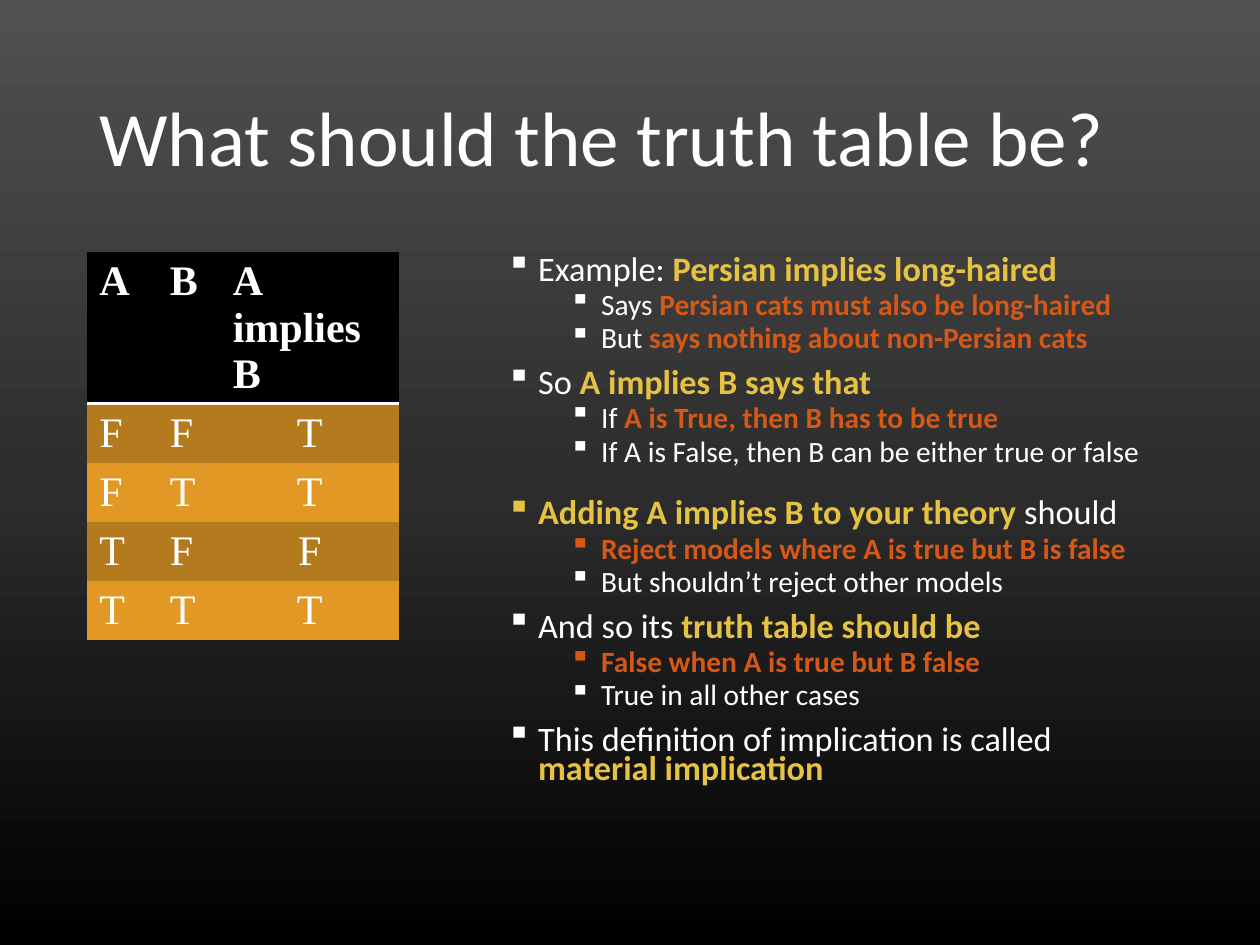
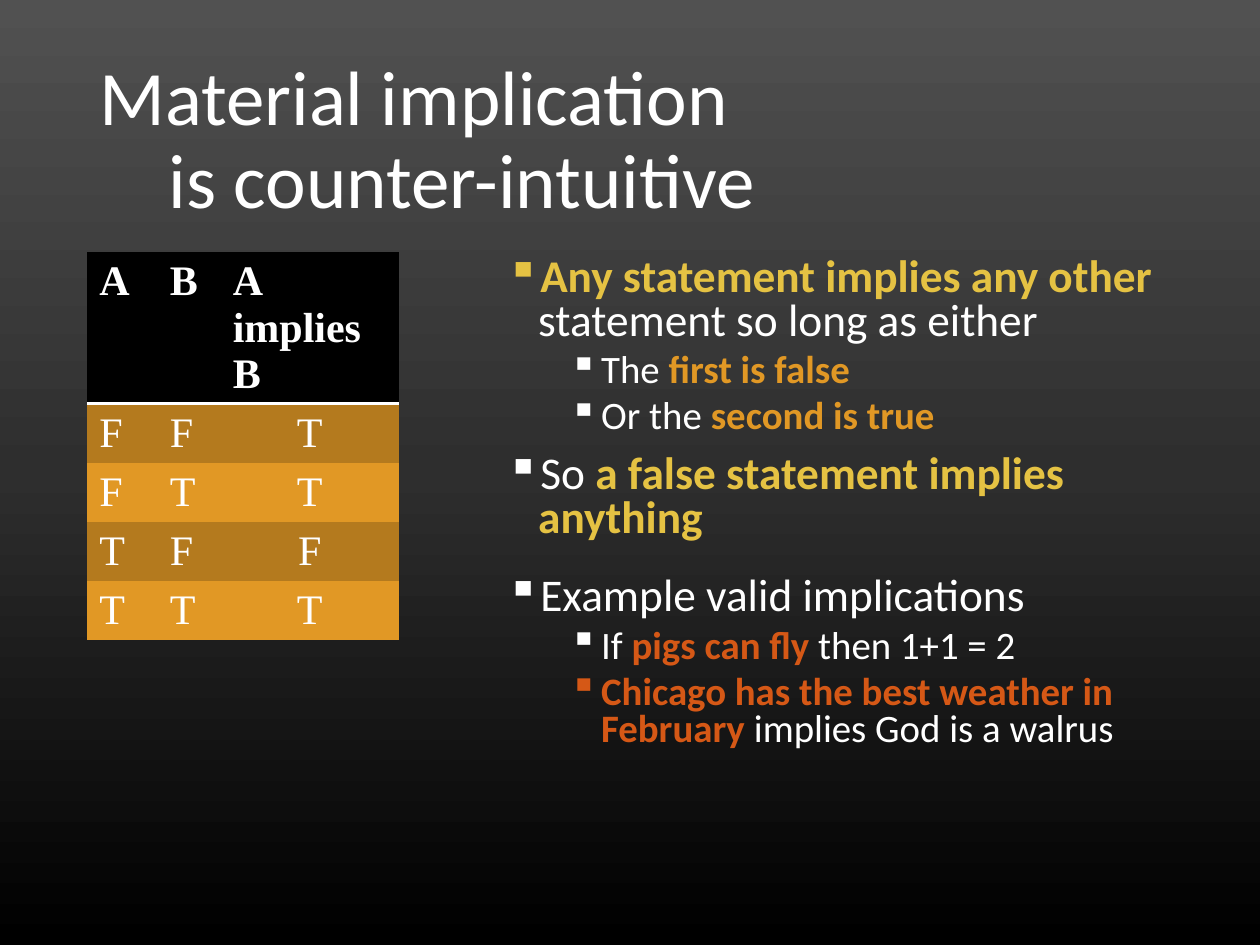
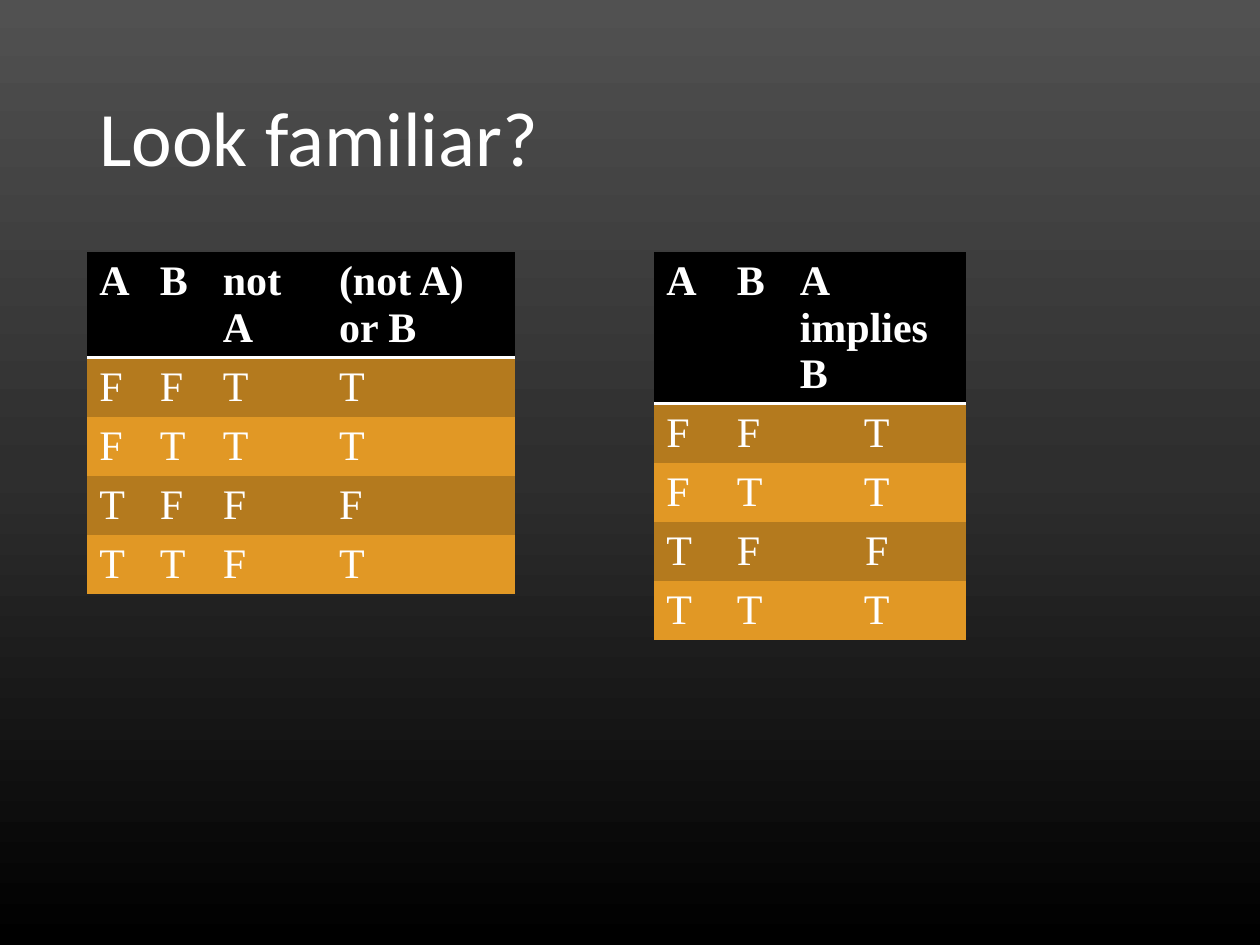
from copy import deepcopy

from lxml.etree import SubElement
from pptx import Presentation
from pptx.dml.color import RGBColor
from pptx.enum.text import MSO_ANCHOR as Anchor, MSO_AUTO_SIZE as AutoSize, PP_ALIGN as Align
from pptx.oxml import parse_xml
from pptx.oxml.ns import nsdecls, qn
from pptx.util import Cm, Pt

COLORS = {
    "white": "FFFFFF", "black": "000000", "gold": "E5C243", "rust": "D55816",
    "amber": "E19825", "brown": "B47A1E", "gray": "515151", "charcoal": "2E2E2E",
}
RGB = {name: RGBColor.from_string(value) for name, value in COLORS.items()}
LEFT, TOP = 1.75, 5.08
PLAIN_TABLE = "{2D5ABB26-0587-4C30-8999-92F81FD0307C}"

# Truth tables: headings, column widths, rows, centred columns
IMPLIES = (["A", "B", "A implies B"], [1.42, 1.27, 3.61], ["FFT", "FTT", "TFF", "TTT"], [2])
NOT_OR = (["A", "B", "not A", "(not A) or B"], [1.22, 1.27, 2.34, 3.81],
          ["FFTT", "FTTT", "TFFF", "TTFT"], [])

# Bullets: level, space before, then (text, colour) runs
TRUTH_BULLETS = [
    (0, 10, ("Example: ", "white"), ("Persian implies long-haired", "gold")),
    (1, 5, ("Says ", "white"), ("Persian cats must also be long-haired", "rust")),
    (1, 5, ("But ", "white"), ("says nothing about non-Persian cats", "rust")),
    (0, 10, ("So ", "white"), ("A implies B says that", "gold")),
    (1, 5, ("If ", "white"), ("A is True, then B has to be true", "rust")),
    (1, 5, ("If A is False, then B can be either true or false", "white")),
    (0, 20, ("Adding A implies B to your theory ", "gold"), ("should", "white")),
    (1, 5, ("Reject models where A is true but B is false", "rust")),
    (1, 5, ("But shouldn’t reject other models", "white")),
    (0, 10, ("And so its ", "white"), ("truth table should be", "gold")),
    (1, 5, ("False when A is true but B false", "rust")),
    (1, 5, ("True in all other cases", "white")),
    (0, 10, ("This definition of implication is called ", "white"),
     ("material implication", "gold")),
]
INTUITION_BULLETS = [
    (0, 10, ("Any statement implies any other ", "gold"),
     ("statement so long as either", "white")),
    (1, 5, ("The ", "white"), ("first is false", "amber")),
    (1, 5, ("Or the ", "white"), ("second is true", "amber")),
    (0, 10, ("So ", "white"), ("a false statement implies anything", "gold")),
    (0, 20, ("Example valid implications", "white")),
    (1, 5, ("If ", "white"), ("pigs can fly ", "rust"), ("then 1+1 = 2", "white")),
    (1, 5, ("Chicago has the best weather in February ", "rust"),
     ("implies God is a walrus", "white")),
]

# Pages: title, tables with their left edges, bullets, sizes by level, line spacing
PAGES = [
    ("What should the truth table be?", [(LEFT, IMPLIES)], TRUTH_BULLETS, (19.6, 16.8), 0.7),
    ("Material implication\vis counter-intuitive", [(LEFT, IMPLIES)],
     INTUITION_BULLETS, (25.9, 22.2), 0.8),
    ("Look familiar?", [(LEFT, NOT_OR), (13.18, IMPLIES)], [], (), 1),
]


def set_indent(para, margin, hanging):
    props = para._p.get_or_add_pPr()
    props.set("marL", str(Cm(margin)))
    props.set("indent", str(-Cm(hanging)))
    return props


def add_truth_table(page, left, headings, widths, rows, centred):
    frame = page.shapes.add_table(len(rows) + 1, len(widths), Cm(left), Cm(TOP),
                                  Cm(sum(widths)), Cm(1.04 * (len(rows) + 1)))
    table = frame.table
    table._tbl.tblPr.find(qn("a:tableStyleId")).text = PLAIN_TABLE
    for column, width in zip(table.columns, widths):
        column.width = Cm(width)
    for row_index, row in enumerate([headings, *rows]):
        is_header = row_index == 0
        fill = "black" if is_header else ("amber", "brown")[row_index % 2]
        for column_index, text in enumerate(row):
            cell = table.cell(row_index, column_index)
            cell.text = text
            cell.fill.solid()
            cell.fill.fore_color.rgb = RGB[fill]
            para = cell.text_frame.paragraphs[0]
            if column_index in centred and not is_header:
                para.alignment = Align.CENTER
            font = para.font
            font.name, font.size, font.bold = "Times New Roman", Pt(24), is_header
            font.color.rgb = RGB["white"]
            if is_header:
                cell._tc.tcPr.insert(0, parse_xml(
                    f'<a:lnB {nsdecls("a")} w="{Pt(2)}"><a:solidFill>'
                    f'<a:srgbClr val="{COLORS["white"]}"/></a:solidFill></a:lnB>'))


deck = Presentation()
deck.slide_width, deck.slide_height = Cm(25.4), Cm(19.05)

# Shared background: three-stop gradient from top to bottom
master = deck.slide_master
background = master.background.fill
background.gradient()
background.gradient_angle = 270
stop_list = master.element.find(".//" + qn("a:gsLst"))
stop_list.append(deepcopy(stop_list[0]))
for stop, position, color in zip(background.gradient_stops, (0, 0.5, 1),
                                 ("gray", "charcoal", "black")):
    stop.position = position
    stop.color.rgb = RGB[color]

for heading, tables, bullets, sizes, spacing in PAGES:
    page = deck.slides.add_slide(deck.slide_layouts[5])

    # Title, with any second line indented
    title = page.shapes.title
    title.left, title.top, title.width, title.height = Cm(LEFT), Cm(1.02), Cm(21.89), Cm(3.68)
    title.text_frame.text = heading
    title.text_frame.auto_size = AutoSize.NONE
    title.text_frame.vertical_anchor = Anchor.MIDDLE
    para = title.text_frame.paragraphs[0]
    set_indent(para, 1.4, 1.4)
    para.alignment, para.line_spacing = Align.LEFT, 0.9
    para.font.name, para.font.size = "Calibri", Pt(44)
    para.font.color.rgb = RGB["white"]

    # Truth tables
    for left, content in tables:
        add_truth_table(page, left, *content)

    # Bulleted explanation
    if not bullets:
        continue
    box = page.shapes.add_textbox(Cm(9.96), Cm(TOP), Cm(13.72), Cm(12.09))
    box.text_frame.word_wrap = True
    for index, (level, before, *spans) in enumerate(bullets):
        para = box.text_frame.paragraphs[0] if index == 0 else box.text_frame.add_paragraph()
        para.level = level
        props = set_indent(para, 0.64 + 1.27 * level, 0.64)
        SubElement(props, qn("a:buChar")).set("char", "▪")
        para.line_spacing, para.space_before = spacing, Pt(before)
        para.font.name, para.font.size = "Calibri", Pt(sizes[level])
        for text, color in spans:
            span = para.add_run()
            span.text = text
            span.font.bold = color != "white"
            span.font.color.rgb = RGB[color]

deck.save("out.pptx")
